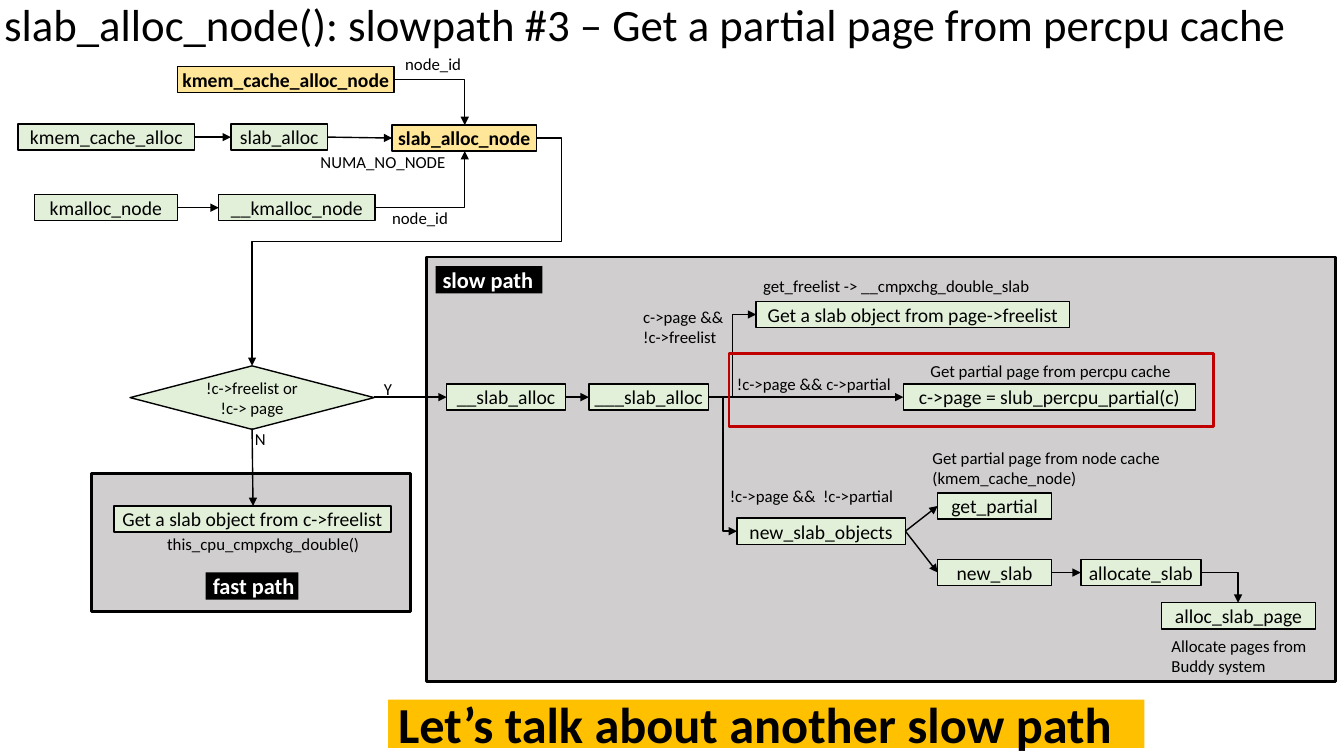
from lxml.etree import SubElement
from pptx import Presentation
from pptx.dml.color import RGBColor
from pptx.enum.shapes import MSO_CONNECTOR, MSO_SHAPE
from pptx.enum.text import MSO_ANCHOR, MSO_AUTO_SIZE, PP_ALIGN
from pptx.oxml.ns import qn
from pptx.util import Inches, Pt

BLACK, WHITE, GRAY, RED = "000000", "FFFFFF", "D0CECE", "C00000"
GREEN, YELLOW, ORANGE = "E2F0D9", "FFE699", "FFC000"

deck = Presentation()
deck.slide_width, deck.slide_height = Inches(13.33), Inches(7.5)
slide = deck.slides.add_slide(deck.slide_layouts[5])
shapes = slide.shapes


def draw(area, fill=None, line=None, width=1, kind=MSO_SHAPE.RECTANGLE):
    shape = shapes.add_shape(kind, *[Inches(v) for v in area])
    shape.shadow.inherit = False
    if fill:
        shape.fill.solid()
        shape.fill.fore_color.rgb = RGBColor.from_string(fill)
    else:
        shape.fill.background()
    if line:
        shape.line.color.rgb = RGBColor.from_string(line)
        shape.line.width = Pt(width)
    else:
        shape.line.fill.background()
    return shape


def write(shape, text, size, color=BLACK, bold=False, align=PP_ALIGN.LEFT,
          anchor=MSO_ANCHOR.TOP, pad=(0.1, 0.05)):
    """Fill a shape with text; pad is the side and the top/bottom inset."""
    frame = shape.text_frame
    frame.text = text
    frame.word_wrap = True
    frame.vertical_anchor = anchor
    frame.margin_left = frame.margin_right = Inches(pad[0])
    frame.margin_top = frame.margin_bottom = Inches(pad[1])
    for para in frame.paragraphs:
        para.alignment = align
        for run in para.runs:
            run.font.name = "Calibri"
            run.font.size = Pt(size)
            run.font.bold = bold
            run.font.color.rgb = RGBColor.from_string(color)


# Title
title = shapes.title
title.left, title.top = Inches(-0.06), Inches(-0.11)
title.width, title.height = Inches(13.46), Inches(0.75)
write(title, "slab_alloc_node(): slowpath #3 – Get a partial page from percpu cache",
      32, anchor=MSO_ANCHOR.MIDDLE)
title.text_frame.auto_size = MSO_AUTO_SIZE.NONE
title.text_frame.paragraphs[0].line_spacing = 0.9

# Slow and fast path panels
draw((4.23, 2.55, 9.02, 4.21), GRAY, BLACK, 2)
draw((0.91, 4.7, 3.16, 1.37), GRAY, BLACK, 2)

# Function boxes: left, top, width, text
steps = [
    (0.18, 1.23, 1.75, "kmem_cache_alloc"),
    (2.29, 1.23, 0.96, "slab_alloc"),
    (0.34, 1.93, 1.42, "kmalloc_node"),
    (2.17, 1.93, 1.55, "__kmalloc_node"),
    (1.13, 5.02, 2.75, "Get a slab object from c->freelist"),
    (4.43, 3.81, 1.18, "__slab_alloc"),
    (5.84, 3.81, 1.19, "___slab_alloc"),
    (7.5, 2.99, 3.11, "Get a slab object from page->freelist"),
    (8.96, 3.81, 2.9, "c->page = slub_percpu_partial(c)"),
    (7.31, 5.14, 1.67, "new_slab_objects"),
    (9.3, 4.89, 1.13, "get_partial"),
    (9.3, 5.55, 1.13, "new_slab"),
    (10.72, 5.55, 1.19, "allocate_slab"),
    (11.52, 5.98, 1.53, "alloc_slab_page"),
]
nodes = [
    (1.76, 0.66, 2.15, "kmem_cache_alloc_node"),
    (3.89, 1.24, 1.43, "slab_alloc_node"),
]
for group, fill, bold in ((steps, GREEN, False), (nodes, YELLOW, True)):
    for left, top, width, text in group:
        step = draw((left, top, width, 0.26), fill, BLACK)
        write(step, text, 14, bold=bold, align=PP_ALIGN.CENTER,
              anchor=MSO_ANCHOR.MIDDLE, pad=(0.02, 0.05))

check = draw((1.29, 3.63, 2.42, 0.63), GREEN, BLACK, kind=MSO_SHAPE.FLOWCHART_DECISION)
write(check, "!c->freelist or\v!c-> page", 12, align=PP_ALIGN.CENTER,
      anchor=MSO_ANCHOR.MIDDLE, pad=(0, 0))

# Arrows: start, end, number of segments, bend positions in 1/100000
arrows = [
    ((1.92, 1.36), (2.29, 1.36), 1, ()),
    ((3.25, 1.36), (3.89, 1.37), 1, ()),
    ((1.76, 2.06), (2.17, 2.06), 1, ()),
    ((3.73, 2.06), (4.61, 1.5), 2, ()),
    ((3.91, 0.79), (4.61, 1.24), 2, ()),
    ((5.32, 1.37), (2.5, 3.63), 4, (-8900, 45500)),
    ((3.71, 3.94), (4.43, 3.94), 1, ()),
    ((2.5, 4.25), (2.51, 5.02), 1, ()),
    ((5.6, 3.94), (5.84, 3.94), 1, ()),
    ((7.03, 3.94), (8.96, 3.94), 1, ()),
    ((7.03, 3.94), (7.5, 3.12), 3, ()),
    ((7.03, 3.94), (7.31, 5.27), 3, ()),
    ((8.98, 5.27), (9.3, 5.02), 1, ()),
    ((8.98, 5.27), (9.3, 5.68), 1, ()),
    ((10.43, 5.68), (10.72, 5.68), 1, ()),
    ((11.91, 5.68), (12.28, 5.98), 2, ()),
]
for start, end, parts, bends in arrows:
    kind = MSO_CONNECTOR.STRAIGHT if parts == 1 else MSO_CONNECTOR.ELBOW
    arrow = shapes.add_connector(kind, *[Inches(v) for v in start + end])
    arrow.line.color.rgb = RGBColor.from_string(BLACK)
    arrow.line.width = Pt(1)
    props = arrow._element.spPr
    SubElement(props.find(qn("a:ln")), qn("a:tailEnd"), type="triangle")
    SubElement(props, qn("a:effectLst"))
    if parts > 1:
        shape = props.find(qn("a:prstGeom"))
        shape.set("prst", f"bentConnector{parts}")
        for i, bend in enumerate(bends, 1):
            SubElement(shape.find(qn("a:avLst")), qn("a:gd"),
                       name=f"adj{i}", fmla=f"val {bend}")

# Labels: left, top, width, height, text
labels = [
    (3.92, 0.48, 0.8, 0.3, "node_id"),
    (3.08, 1.46, 1.55, 0.3, "NUMA_NO_NODE"),
    (3.79, 2.01, 0.8, 0.3, "node_id"),
    (3.71, 3.71, 0.31, 0.3, "Y"),
    (2.43, 4.2, 0.31, 0.3, "N"),
    (1.56, 5.25, 2.26, 0.3, "this_cpu_cmpxchg_double()"),
    (7.47, 2.69, 3.88, 0.3, "get_freelist -> __cmpxchg_double_slab"),
    (6.28, 2.99, 1.06, 0.5, "c->page &&\n!c->freelist"),
    (7.21, 3.66, 1.96, 0.3, "!c->page && c->partial"),
    (9.13, 3.53, 2.71, 0.3, "Get partial page from percpu cache"),
    (7.14, 4.77, 1.86, 0.3, "!c->page &&  !c->partial"),
    (9.15, 4.39, 2.71, 0.5, "Get partial page from node cache (kmem_cache_node)"),
    (11.52, 6.26, 1.71, 0.5, "Allocate pages from Buddy system"),
]
for *area, text in labels:
    label = shapes.add_textbox(*[Inches(v) for v in area])
    write(label, text, 12)
    label.text_frame.auto_size = MSO_AUTO_SIZE.SHAPE_TO_FIT_TEXT

# Path tags, highlight and closing banner
for left, top, width, text in ((2.04, 5.68, 0.92, "fast path"),
                               (4.32, 2.64, 1.06, "slow path")):
    tag = draw((left, top, width, 0.27), BLACK)
    write(tag, text, 16, WHITE, True, pad=(0.07, 0))
    tag.text_frame.margin_right = Inches(0)

draw((7.23, 3.51, 4.81, 0.72), line=RED, width=2)

banner = draw((3.85, 6.94, 7.5, 0.48), ORANGE)
write(banner, "Let’s talk about another slow path", 36, bold=True,
      anchor=MSO_ANCHOR.MIDDLE)

deck.save("out.pptx")
